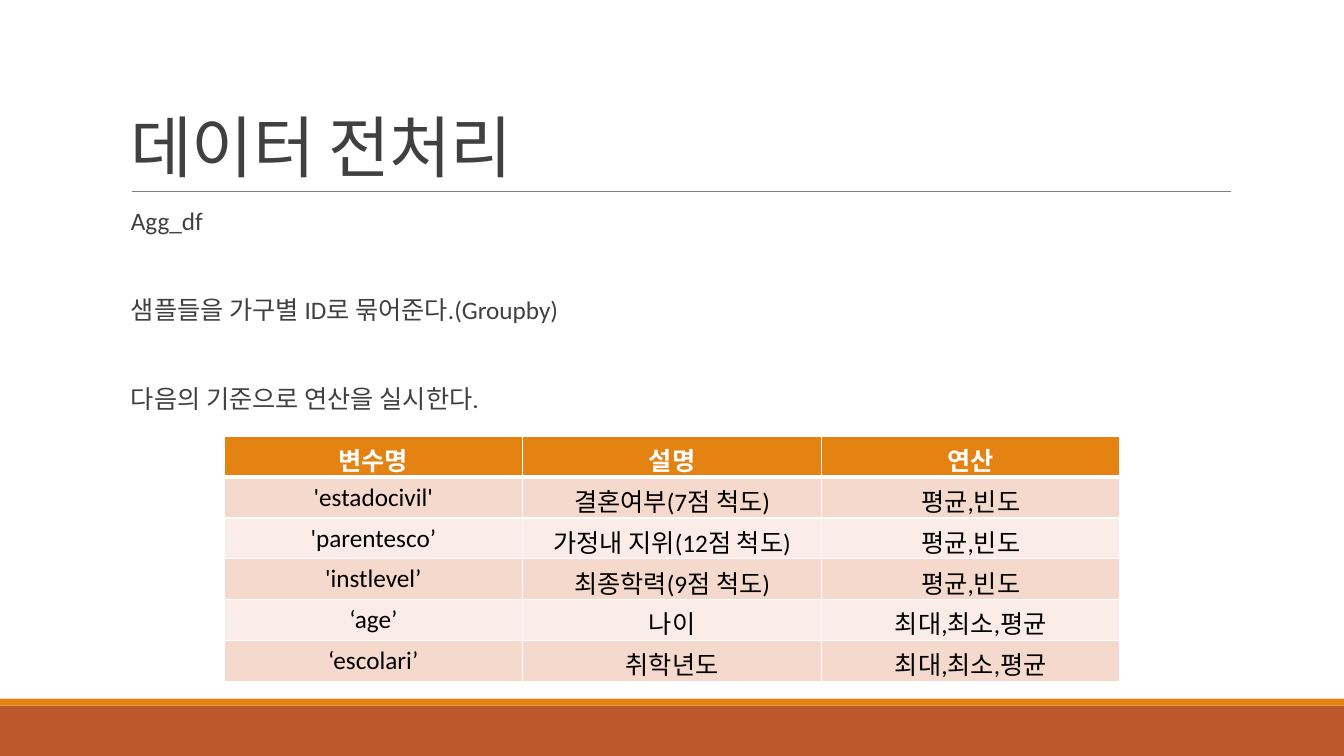
from dataclasses import dataclass

from lxml.etree import SubElement
from pptx import Presentation
from pptx.dml.color import RGBColor
from pptx.enum.shapes import MSO_CONNECTOR, MSO_SHAPE
from pptx.enum.text import MSO_ANCHOR, PP_ALIGN
from pptx.oxml.ns import qn
from pptx.util import Inches, Pt


@dataclass(frozen=True)
class Theme:
    font: str = "Calibri"
    title_size: int = 48
    text_size: int = 18
    ink: str = "404040"
    black: str = "000000"
    white: str = "FFFFFF"
    rule: str = "808080"
    orange: str = "E48312"
    rust: str = "BD582C"
    bands: tuple = ("F5D9CC", "FAEDE7")


THEME = Theme()
WIDTH, HEIGHT = Inches(13.33), Inches(7.5)

TITLE = "데이터 전처리"
STEPS = ["Agg_df", "샘플들을 가구별 ID로 묶어준다.(Groupby)", "다음의 기준으로 연산을 실시한다."]
VARIABLES = [
    ("변수명", "설명", "연산"),
    ("'estadocivil'", "결혼여부(7점 척도)", "평균,빈도"),
    ("'parentesco’", "가정내 지위(12점 척도)", "평균,빈도"),
    ("'instlevel’", "최종학력(9점 척도)", "평균,빈도"),
    ("‘age’", "나이", "최대,최소,평균"),
    ("‘escolari’", "취학년도", "최대,최소,평균"),
]


def place(left, top, width, height):
    """Turn percentages of the slide into lengths."""
    return [int(share * side / 100) for share, side in
            zip((left, top, width, height), (WIDTH, HEIGHT) * 2)]


def rgb(color):
    return RGBColor.from_string(color)


def apply(target, values):
    for name, value in values.items():
        setattr(target, name, value)


def write(p, text, color, size=THEME.text_size, bold=False):
    r = p.add_run()
    r.text = text
    apply(r.font, {"name": THEME.font, "size": Pt(size), "bold": bold})
    r.font.color.rgb = rgb(color)
    return r


def add_band(slide, box, color):
    sp = slide.shapes.add_shape(MSO_SHAPE.RECTANGLE, *place(*box))
    sp.shadow.inherit = False
    sp.fill.solid()
    sp.fill.fore_color.rgb = rgb(color)
    sp.line.fill.background()


def add_rule(slide, left, right, y):
    x1, y1, x2, y2 = place(left, y, right, y)
    line = slide.shapes.add_connector(MSO_CONNECTOR.STRAIGHT, x1, y1, x2, y2)
    line.line.color.rgb = rgb(THEME.rule)
    line.line.width = Pt(0.5)
    SubElement(line._element.spPr, qn("a:effectLst"))


def add_text_frame(slide, box, **format_values):
    tf = slide.shapes.add_textbox(*place(*box)).text_frame
    apply(tf, {"word_wrap": True, **format_values})
    return tf


def add_title(slide, box):
    tf = add_text_frame(slide, box, vertical_anchor=MSO_ANCHOR.BOTTOM)
    p = tf.paragraphs[0]
    p.line_spacing = 0.85
    r = write(p, TITLE, THEME.ink, THEME.title_size)
    r.font._element.set("spc", "-50")


def add_steps(slide, box):
    tf = add_text_frame(slide, box, margin_left=Inches(0.1), margin_right=0)
    for i, step in enumerate(STEPS):
        p = tf.add_paragraph() if i else tf.paragraphs[0]
        apply(p, {"line_spacing": 0.9, "space_before": Pt(42 if i else 0),
                  "space_after": Pt(2)})
        write(p, step, THEME.ink)


def set_borders(cell, widths):
    """Draw white cell borders; widths maps each side to points."""
    tc_pr = cell._tc.get_or_add_tcPr()
    for i, side in enumerate(("lnL", "lnR", "lnT", "lnB")):
        ln = tc_pr.makeelement(qn(f"a:{side}"), {"w": str(Pt(widths.get(side, 1)))})
        fill = SubElement(ln, qn("a:solidFill"))
        SubElement(fill, qn("a:srgbClr"), val=THEME.white)
        tc_pr.insert(i, ln)


def add_variable_table(slide, box):
    table = slide.shapes.add_table(len(VARIABLES), len(VARIABLES[0]), *place(*box)).table
    for i, row in enumerate(VARIABLES):
        header = i == 0
        fill = THEME.orange if header else THEME.bands[(i - 1) % 2]
        for j, text in enumerate(row):
            cell = table.cell(i, j)
            cell.fill.solid()
            cell.fill.fore_color.rgb = rgb(fill)
            set_borders(cell, {0: {"lnB": 3}, 1: {"lnT": 3}}.get(i, {}))
            p = cell.text_frame.paragraphs[0]
            p.alignment = PP_ALIGN.CENTER
            write(p, text, THEME.white if header else THEME.black, bold=header)


def main():
    prs = Presentation()
    apply(prs, {"slide_width": WIDTH, "slide_height": HEIGHT})
    slide = prs.slides.add_slide(prs.slide_layouts[6])
    add_band(slide, (0, 93.33, 100, 6.67), THEME.rust)
    add_band(slide, (0, 92.4, 100, 0.93), THEME.orange)
    add_rule(slide, 9.83, 91.6, 25.33)
    add_title(slide, (9, 4.13, 82.5, 21.2))
    add_steps(slide, (9, 26.93, 82.5, 58.67))
    add_variable_table(slide, (16.67, 57.73, 66.67, 32.4))
    prs.save("out.pptx")


if __name__ == "__main__":
    main()
